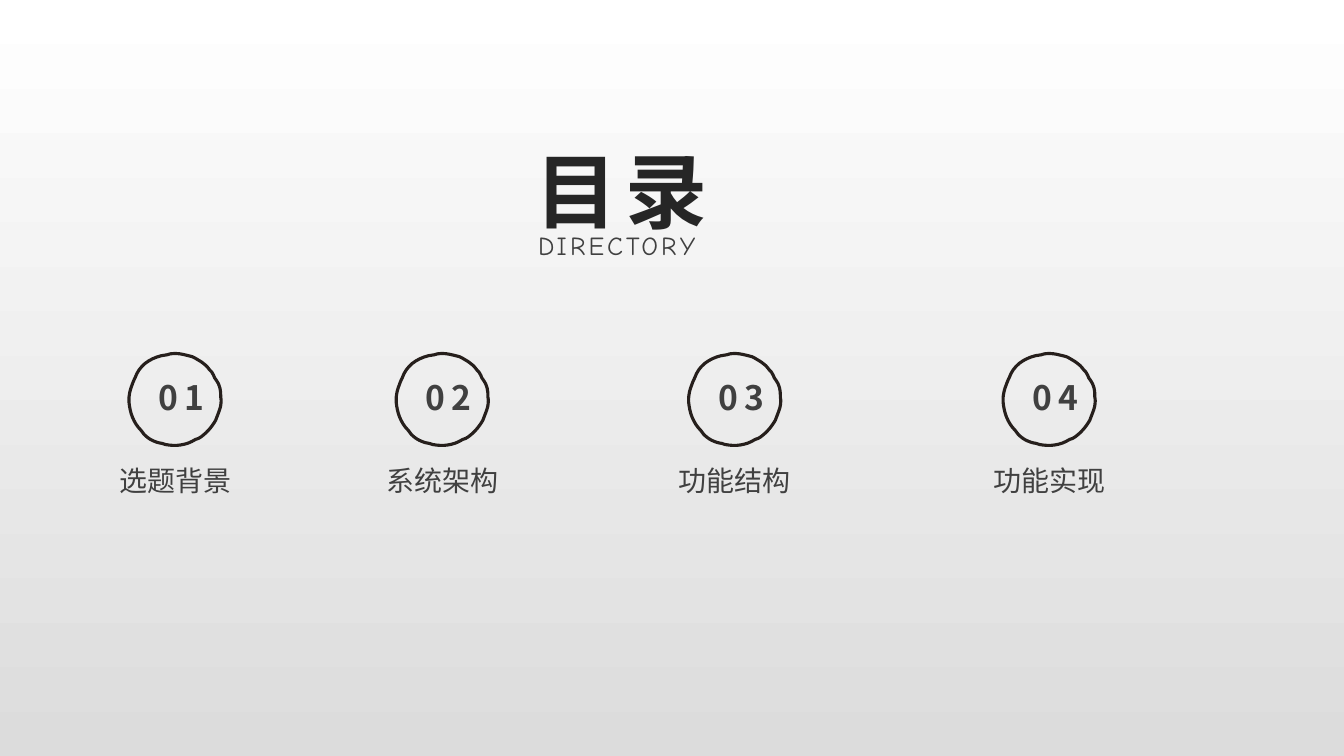
"""Build a contents slide with four numbered, hand-drawn circles."""
from pptx import Presentation, util as u
from pptx.dml.color import RGBColor
from pptx.enum import text as t
from pptx.oxml.ns import qn

WHITE = RGBColor(0xFF, 0xFF, 0xFF)
SILVER = RGBColor(0xDC, 0xDC, 0xDC)
INK = RGBColor(0x26, 0x1F, 0x1C)
BLACK = RGBColor(0x26, 0x26, 0x26)
GREY = RGBColor(0x40, 0x40, 0x40)
WIDTH, HEIGHT = u.Inches(13.333), u.Inches(7.5)
HEAVY, LIGHT, LATIN = "Noto Sans CJK JP", "Noto Sans CJK SC", "Comic Neue"

CIRCLE_TOP = 46.53
TOPICS = [(9.6, "选题背景"), (29.48, "系统架构"), (51.24, "功能结构"), (74.64, "功能实现")]
ARCS = [
    ((0, 47), (0, 41), (2, 35), (5, 28)),
    ((6, 26), (10, 14), (20, 7), (32, 4)),
    ((38, 3), (46, 0), (55, 3), (63, 5)),
    ((65, 6), (70, 9), (76, 12), (80, 18)),
    ((82, 20), (83, 22), (84, 23), (85, 26)),
    ((85, 26), (89, 31), (91, 36), (91, 43)),
    ((91, 45), (92, 50), (91, 55), (89, 60)),
    ((86, 68), (82, 75), (76, 82), (69, 86)),
    ((66, 87), (57, 93), (46, 94), (36, 92)),
    ((33, 91), (26, 90), (20, 87), (15, 82)),
    ((12, 78), (4, 70), (1, 60), (0, 50)),
]
STEPS = 8


def share(left, top, width=0, height=0):
    """Turn percentages of the slide into lengths."""
    return [u.Emu(round(side * part / 100))
            for side, part in zip((WIDTH, HEIGHT) * 2, (left, top, width, height))]


def write(box, wording, size, font, color, bold=False, spacing=0, wrap=True):
    """Fill a text frame and format its only run."""
    frame = box.text_frame
    frame.text = wording
    frame.word_wrap = wrap
    frame.vertical_anchor = t.MSO_ANCHOR.TOP
    frame.auto_size = t.MSO_AUTO_SIZE.SHAPE_TO_FIT_TEXT
    paragraph = frame.paragraphs[0]
    paragraph.alignment = t.PP_ALIGN.CENTER if wrap else t.PP_ALIGN.LEFT
    run = paragraph.runs[0]
    run.font.size, run.font.name, run.font.bold = u.Pt(size), font, bold
    run.font.color.rgb = color
    properties = run.font._element
    properties.set("spc", str(round(spacing * 100)))
    east_asian = properties.makeelement(qn("a:ea"), {"typeface": font})
    properties.find(qn("a:latin")).addnext(east_asian)


deck = Presentation()
deck.slide_width, deck.slide_height = WIDTH, HEIGHT
slide = deck.slides.add_slide(deck.slide_layouts[5])

backdrop = slide.background.fill
backdrop.gradient()
backdrop.gradient_angle = 270
for stop, color, position in zip(backdrop.gradient_stops, (WHITE, SILVER), (0, 1)):
    stop.color.rgb = color
    stop.position = position

heading = slide.shapes.title
heading.left, heading.top, heading.width, heading.height = share(38.18, 17.87, 16.13, 14.53)
write(heading, "目录", 58.6, HEAVY, BLACK, bold=True, spacing=6)

subheading = slide.shapes.add_textbox(*share(39.3, 29.73, 15, 5.47))
write(subheading, "DIRECTORY", 18.6, LATIN, GREY, spacing=2.2, wrap=False)

outline = []
for arc in ARCS:
    for step in range(STEPS + 1):
        s = step / STEPS
        weights = ((1 - s) ** 3, 3 * s * (1 - s) ** 2, 3 * s ** 2 * (1 - s), s ** 3)
        outline.append(tuple(10 * sum(w * point[axis] for w, point in zip(weights, arc))
                             for axis in (0, 1)))

for number, (left, topic) in enumerate(TOPICS, start=1):
    builder = slide.shapes.build_freeform(*outline[0], scale=u.Inches(1) / 1000)
    builder.add_line_segments(outline[1:], close=True)
    circle = builder.convert_to_shape(*share(left, CIRCLE_TOP)[:2])
    circle.shadow.inherit = False
    circle.fill.background()
    circle.line.color.rgb = INK
    circle.line.width = u.Pt(2.25)

    ordinal = slide.shapes.add_textbox(*share(left + 0.75, 49.2, 6.3, 6.67))
    write(ordinal, f"{number:02}", 24, HEAVY, GREY, bold=True, spacing=4.5)

    label = slide.shapes.add_textbox(*share(left - 1.8, 60.67, 10.5, 5.73))
    write(label, topic, 20, LIGHT, GREY)

deck.save("out.pptx")
